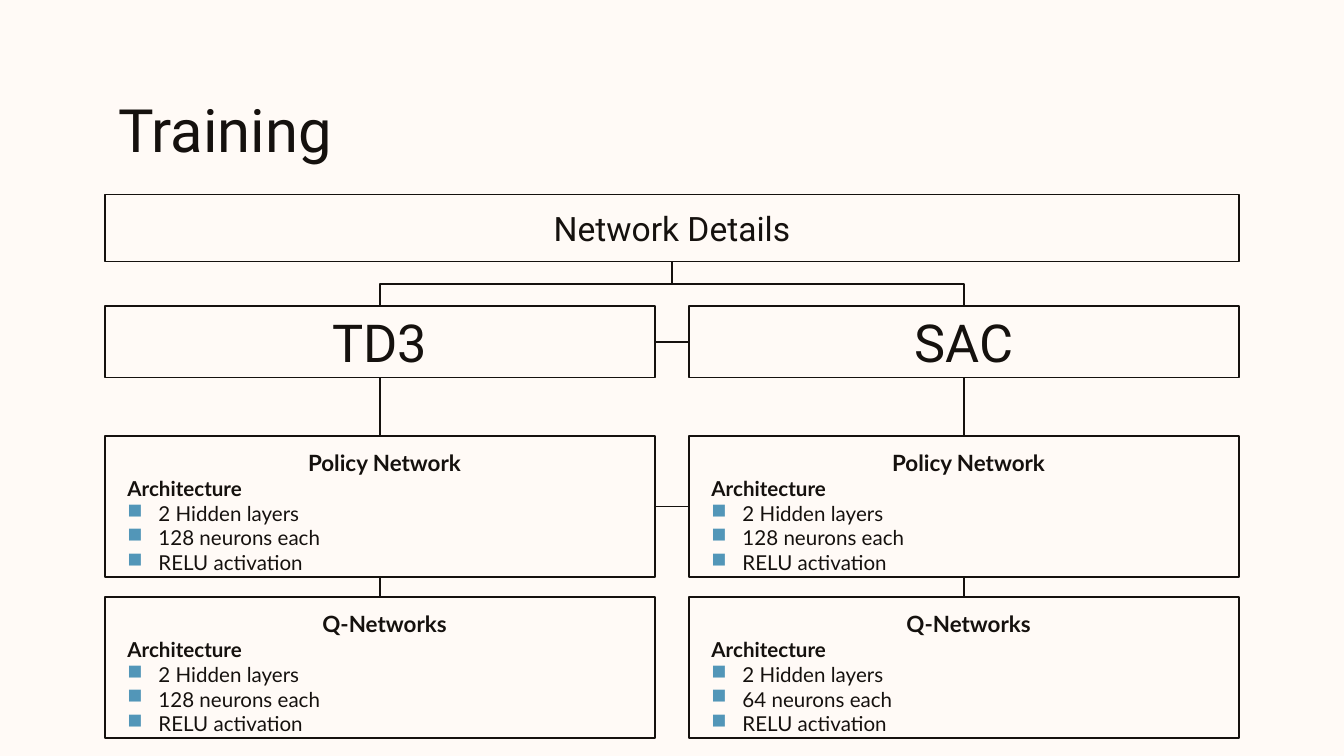
from lxml import etree
from pptx import Presentation
from pptx.dml.color import RGBColor
from pptx.enum.shapes import MSO_CONNECTOR, MSO_SHAPE
from pptx.enum.text import MSO_ANCHOR, MSO_AUTO_SIZE, PP_ALIGN
from pptx.oxml.ns import qn
from pptx.util import Pt

STRAIGHT, ELBOW = MSO_CONNECTOR.STRAIGHT, MSO_CONNECTOR.ELBOW
RECTANGLE = MSO_SHAPE.RECTANGLE
TOP, MIDDLE = MSO_ANCHOR.TOP, MSO_ANCHOR.MIDDLE
LEFT, CENTER = PP_ALIGN.LEFT, PP_ALIGN.CENTER
NO_AUTOFIT = MSO_AUTO_SIZE.NONE

CREAM = RGBColor(0xFF, 0xFA, 0xF6)
INK = RGBColor(0x15, 0x11, 0x0E)
BLUE = RGBColor(0x52, 0x96, 0xB8)

# Connection sites of a rectangle
SITE_TOP, SITE_LEFT, SITE_BOTTOM, SITE_RIGHT = range(4)

MARGIN = 56.2
FULL_WIDTH = 720 - 2 * MARGIN
GAP = 18.2
COLUMN_WIDTH = (FULL_WIDTH - GAP) / 2
ALGORITHMS = [("TD3", 128), ("SAC", 64)]  # name, neurons per Q-network layer
POLICY_NEURONS = 128


def set_frame(frame, anchor):
    frame.word_wrap = True
    frame.auto_size = NO_AUTOFIT
    frame.vertical_anchor = anchor
    frame.margin_left = frame.margin_right = Pt(7.2)
    frame.margin_top = frame.margin_bottom = Pt(7.2)


def write(paragraph, text, font_name, size, align=LEFT, bold=False):
    paragraph.text = text
    paragraph.alignment = align
    font = paragraph.font
    font.name, font.size, font.bold = font_name, Pt(size), bold
    font.color.rgb = INK


def indent(paragraph, margin, first_line=0):
    properties = paragraph._p.get_or_add_pPr()
    properties.set("marL", str(Pt(margin)))
    properties.set("indent", str(Pt(first_line)))
    return properties


def add_square_bullet(paragraph):
    properties = indent(paragraph, 21.6, -16.6)
    # The bullet elements must come before the default run properties
    bullet_color = etree.Element(qn("a:buClr"))
    etree.SubElement(bullet_color, qn("a:srgbClr"), val=str(BLUE))
    bullet = etree.Element(qn("a:buChar"), char="■")
    properties.insert(0, bullet_color)
    properties.insert(1, bullet)


def add_title(slide, text):
    title = slide.shapes.title
    title.left, title.top = Pt(MARGIN), Pt(42.5)
    title.width, title.height = Pt(FULL_WIDTH), Pt(43.2)
    set_frame(title.text_frame, TOP)
    write(title.text_frame.paragraphs[0], text, "Roboto", 32)


def add_box(slide, left, top, width, height, anchor=MIDDLE):
    box = slide.shapes.add_shape(RECTANGLE, Pt(left), Pt(top), Pt(width), Pt(height))
    box.shadow.inherit = False
    box.fill.background()
    box.line.color.rgb = INK
    box.line.width = Pt(0.75)
    set_frame(box.text_frame, anchor)
    return box


def add_heading_box(slide, text, size, left, top, width, height):
    box = add_box(slide, left, top, width, height)
    write(box.text_frame.paragraphs[0], text, "Roboto", size, CENTER)
    return box


def add_network_box(slide, heading, neurons, left, top):
    box = add_box(slide, left, top, COLUMN_WIDTH, 75.6, TOP)
    frame = box.text_frame
    write(frame.paragraphs[0], heading, "Lato", 12, CENTER, bold=True)
    indent(frame.paragraphs[0], 5)
    label = frame.add_paragraph()
    write(label, "Architecture", "Lato", 11, bold=True)
    indent(label, 5)
    for detail in ("2 Hidden layers", f"{neurons} neurons each", "RELU activation"):
        item = frame.add_paragraph()
        write(item, detail, "Lato", 11)
        add_square_bullet(item)
    return box


def style_connector(connector):
    connector.line.color.rgb = INK
    connector.line.width = Pt(0.75)
    etree.SubElement(connector._element.spPr, qn("a:effectLst"))


def link(slide, start, start_site, end, end_site):
    connector = slide.shapes.add_connector(STRAIGHT, 0, 0, 0, 0)
    connector.begin_connect(start, start_site)
    connector.end_connect(end, end_site)
    style_connector(connector)


def branch_down(slide, parent, child):
    """Elbow that leaves the parent's bottom and enters the child's top."""
    start_x, start_y = parent.left + parent.width // 2, parent.top + parent.height
    end_x, end_y = child.left + child.width // 2, child.top
    center_x, center_y = (start_x + end_x) // 2, (start_y + end_y) // 2
    half_drop, half_span = (end_y - start_y) // 2, abs(end_x - start_x) // 2
    # A quarter turn swaps width and height; a rightward branch is also flipped
    to_right = end_x > start_x
    side = half_drop if to_right else -half_drop
    connector = slide.shapes.add_connector(
        ELBOW, center_x + side, center_y - half_span,
        center_x - side, center_y + half_span)
    turn = 270 if to_right else 90
    connector._element.spPr.find(qn("a:xfrm")).set("rot", str(turn * 60000))
    style_connector(connector)


def add_algorithm_column(slide, name, q_neurons, left):
    algorithm = add_heading_box(slide, name, 28, left, 164, COLUMN_WIDTH, 38.4)
    policy = add_network_box(slide, "Policy Network", POLICY_NEURONS, left, 233.5)
    q_networks = add_network_box(slide, "Q-Networks", q_neurons, left, 319.8)
    link(slide, algorithm, SITE_BOTTOM, policy, SITE_TOP)
    link(slide, policy, SITE_BOTTOM, q_networks, SITE_TOP)
    return algorithm, policy


def main():
    presentation = Presentation()
    presentation.slide_width, presentation.slide_height = Pt(720), Pt(405)
    slide = presentation.slides.add_slide(presentation.slide_layouts[5])
    slide.background.fill.solid()
    slide.background.fill.fore_color.rgb = CREAM

    add_title(slide, "Training")
    root = add_heading_box(slide, "Network Details", 18, MARGIN, 104.2, FULL_WIDTH, 36)
    columns = [
        add_algorithm_column(slide, name, neurons, MARGIN + i * (COLUMN_WIDTH + GAP))
        for i, (name, neurons) in enumerate(ALGORITHMS)
    ]
    for algorithm, _ in columns:
        branch_down(slide, root, algorithm)
    for left_box, right_box in zip(*columns):
        link(slide, left_box, SITE_RIGHT, right_box, SITE_LEFT)

    presentation.save("out.pptx")


if __name__ == "__main__":
    main()
